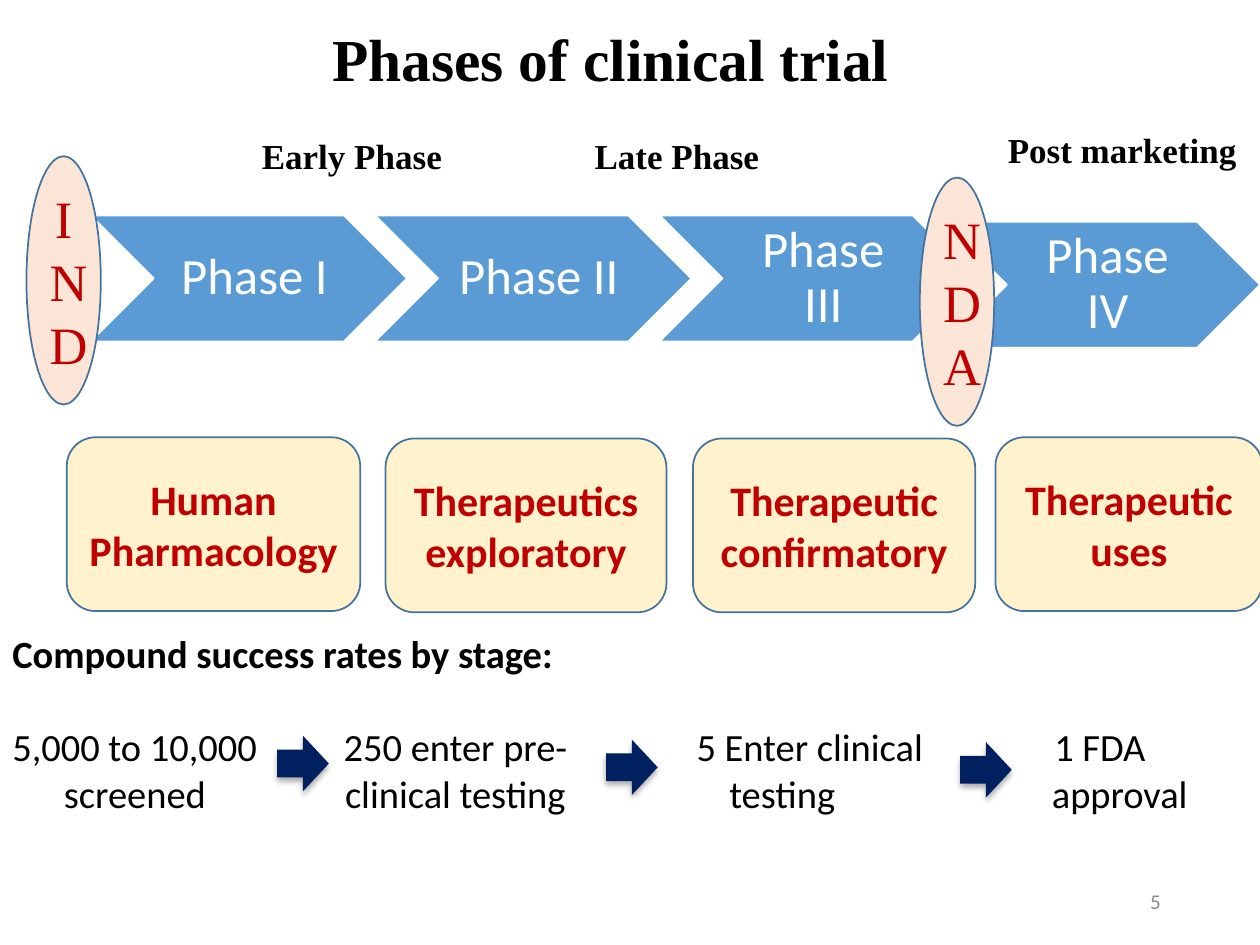
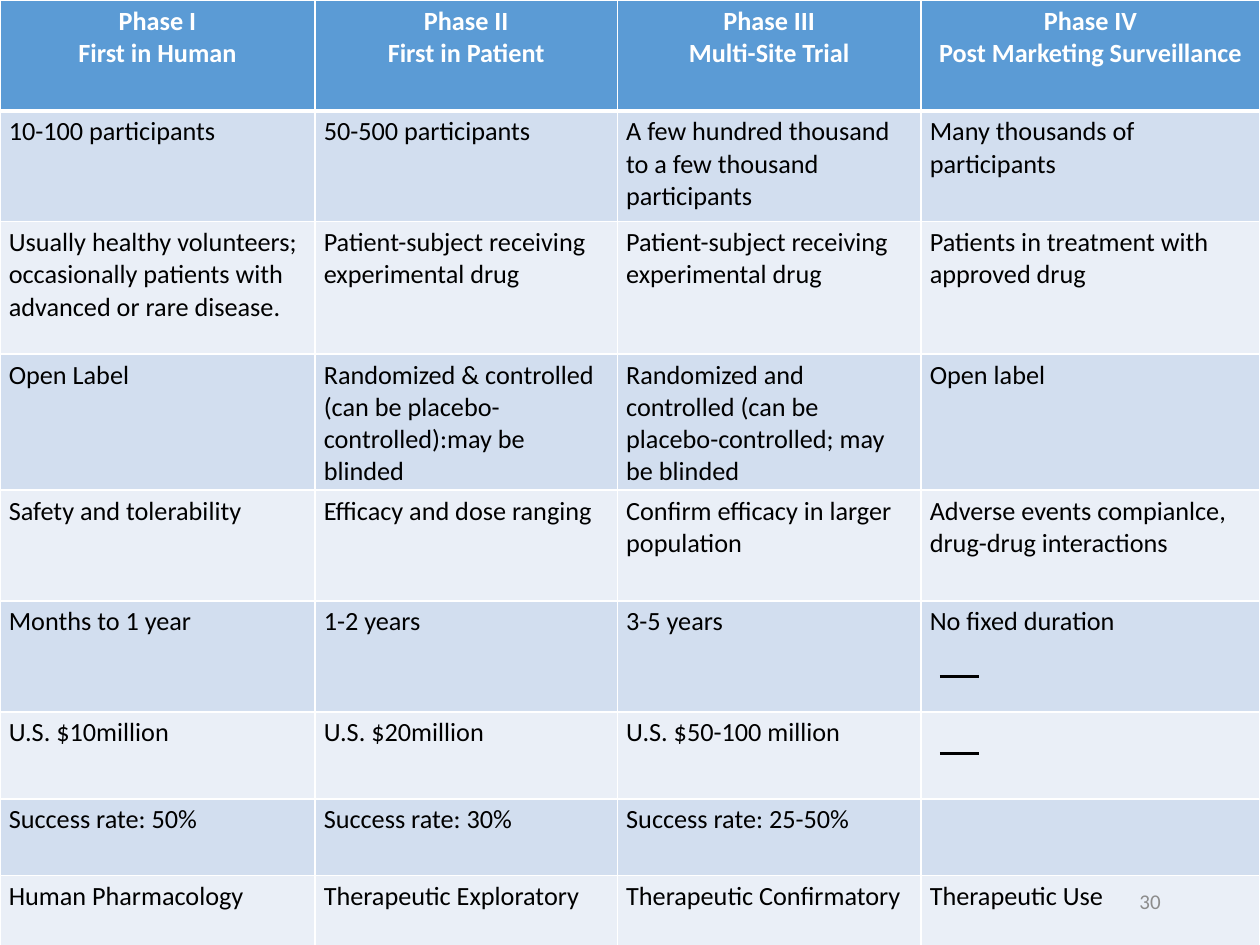
from dataclasses import dataclass

from lxml.etree import SubElement
from pptx import Presentation
from pptx.dml.color import RGBColor
from pptx.enum.shapes import MSO_CONNECTOR, MSO_SHAPE
from pptx.enum.text import MSO_ANCHOR, PP_ALIGN
from pptx.oxml.ns import qn
from pptx.util import Inches, Pt

SANS, SERIF = "Calibri", "Times New Roman"
BLACK, WHITE, GREY = "000000", "FFFFFF", "8C8C8C"
BLUE, OUTLINE, NAVY, RED = "5B9BD5", "43739E", "002060", "C00000"
PEACH, CREAM = "FBE5D6", "FFF2CC"
BANDS = ("EAEFF7", "D2DEEF")


@dataclass(frozen=True)
class Box:
    """A text with its place in inches."""
    text: str
    left: float
    top: float
    width: float
    height: float


@dataclass(frozen=True)
class Look:
    """The preset, colours and type of one family of shapes."""
    preset: MSO_SHAPE
    fill: str
    line: str | None = None
    size: float = 18
    color: str = WHITE
    font: str = SANS
    bold: bool = False
    spacing: float = 1
    insets: tuple = (0.1, 0.05, 0.1, 0.05)
    shadow: bool = False


CHEVRON = Look(MSO_SHAPE.CHEVRON, BLUE, WHITE, 29, spacing=0.9,
               insets=(0.13, 0.04, 0.04, 0.04))
FILING = Look(MSO_SHAPE.OVAL, PEACH, OUTLINE, 30, RED, SERIF)
PURPOSE = Look(MSO_SHAPE.ROUNDED_RECTANGLE, CREAM, OUTLINE, 24, RED, bold=True)
ARROW = Look(MSO_SHAPE.RIGHT_ARROW, NAVY, shadow=True)

TITLE = Box("Phases of clinical trial", 2.54, 0.13, 4.69, 0.67)
STAGES = (
    Box("Early Phase", 1.98, 1.02, 2.14, 0.44),
    Box("Late Phase", 4.62, 1.02, 1.52, 0.44),
    Box("Post marketing", 7.9, 0.97, 2.1, 0.44),
)
PHASES = (("Phase I", 1.71), ("Phase II", 1.71), ("Phase III", 1.71), ("Phase IV", 1.76))
FILINGS = (Box("IND", 0.21, 1.24, 0.59, 1.97), Box("NDA", 7.3, 1.41, 0.59, 1.97))
PURPOSES = (
    Box("Human Pharmacology", 0.53, 3.47, 2.33, 1.38),
    Box("Therapeutics exploratory", 3.06, 3.48, 2.23, 1.38),
    Box("Therapeutic confirmatory", 5.5, 3.48, 2.24, 1.38),
    Box("Therapeutic uses", 7.9, 3.47, 2.12, 1.38),
)
RATES = (
    ("5,000 to 10,000\t250 enter pre-\t5 Enter clinical\t1 FDA", (2.63, 5.43, 8.27)),
    ("\tscreened\tclinical testing\ttesting\tapproval", (0.41, 2.64, 5.69, 8.25)),
)
ARROWS = ((2.2, 5.84), (4.81, 5.87), (7.62, 5.89))

COLUMNS = (2.5, 2.4, 2.41, 2.69)
ROW_HEIGHTS = (0.88, 0.88, 1.05, 1.05, 0.88, 0.88, 0.69, 0.61, 0.61)
COMPARISON = (
    ("Phase I\nFirst in Human", "Phase II\nFirst in Patient",
     "Phase III\nMulti-Site Trial", "Phase IV\nPost Marketing Surveillance"),
    ("10-100 participants", "50-500 participants",
     "A few hundred thousand to a few thousand participants",
     "Many thousands of participants"),
    ("Usually healthy volunteers; occasionally patients with advanced or rare disease.",
     "Patient-subject receiving experimental drug",
     "Patient-subject receiving experimental drug",
     "Patients in treatment with approved drug"),
    ("Open Label",
     "Randomized & controlled\n(can be placebo-controlled):may be blinded",
     "Randomized and controlled (can be placebo-controlled; may be blinded",
     "Open label"),
    ("Safety and tolerability", "Efficacy and dose ranging",
     "Confirm efficacy in larger population",
     "Adverse events compianlce, drug-drug interactions"),
    ("Months to 1 year", "1-2 years", "3-5 years", "No fixed duration"),
    ("U.S. $10million", "U.S. $20million", "U.S. $50-100 million", ""),
    ("Success rate: 50%", "Success rate: 30%", "Success rate: 25-50%", ""),
    ("Human Pharmacology", "Therapeutic Exploratory",
     "Therapeutic Confirmatory", "Therapeutic Use"),
)
DASH_TOPS = (5.37, 5.98)


def rgb(color: str) -> RGBColor:
    """Turn a hex string into a colour."""
    return RGBColor.from_string(color)


def write(p, text: str, *, size: float, color: str = BLACK, font: str = SANS,
          bold: bool = False, align=PP_ALIGN.LEFT, spacing: float = 1,
          before: float = 0, tabs: tuple = ()) -> None:
    """Write one formatted run into a paragraph."""
    p.alignment, p.line_spacing = align, spacing
    if before:
        p.space_before = Pt(before)
    if tabs:
        stops = SubElement(p._p.get_or_add_pPr(), qn("a:tabLst"))
        for tab in tabs:
            SubElement(stops, qn("a:tab"), pos=str(Inches(tab)), algn="l")
    r = p.add_run()
    r.text = text
    r.font.size, r.font.name, r.font.bold = Pt(size), font, bold
    r.font.color.rgb = rgb(color)


def add_text(s, box: Box, *, wrap: bool = True, anchor=MSO_ANCHOR.TOP, **style):
    """Add a text box and return its text frame."""
    tf = s.shapes.add_textbox(Inches(box.left), Inches(box.top),
                              Inches(box.width), Inches(box.height)).text_frame
    tf.word_wrap, tf.vertical_anchor = wrap, anchor
    write(tf.paragraphs[0], box.text, **style)
    return tf


def add_box(s, box: Box, look: Look) -> None:
    """Add a preset shape with its centred text."""
    sp = s.shapes.add_shape(look.preset, Inches(box.left), Inches(box.top),
                            Inches(box.width), Inches(box.height))
    sp.shadow.inherit = False
    sp.fill.solid()
    sp.fill.fore_color.rgb = rgb(look.fill)
    if look.line:
        sp.line.color.rgb = rgb(look.line)
        sp.line.width = Pt(1)
    else:
        sp.line.fill.background()
    if look.shadow:
        effects = sp._element.spPr.find(qn("a:effectLst"))
        shade = SubElement(effects, qn("a:outerShdw"), blurRad=str(Pt(3.5)),
                           dist=str(Pt(2.2)), dir="5400000", rotWithShape="0")
        color = SubElement(shade, qn("a:srgbClr"), val=BLACK)
        SubElement(color, qn("a:alpha"), val="32000")
    if box.text:
        tf = sp.text_frame
        tf.word_wrap, tf.vertical_anchor = True, MSO_ANCHOR.MIDDLE
        tf.margin_left, tf.margin_top, tf.margin_right, tf.margin_bottom = map(
            Inches, look.insets)
        write(tf.paragraphs[0], box.text, size=look.size, color=look.color, font=look.font,
              bold=look.bold, align=PP_ALIGN.CENTER, spacing=look.spacing)


def add_number(s, number: int) -> None:
    """Add the slide number."""
    add_text(s, Box(str(number), 7.06, 6.95, 2.25, 0.4), anchor=MSO_ANCHOR.MIDDLE,
             size=12, color=GREY, align=PP_ALIGN.RIGHT)


def add_dash(s, top: float) -> None:
    """Add a short rule that marks an empty value."""
    line = s.shapes.add_connector(MSO_CONNECTOR.STRAIGHT, Inches(7.46), Inches(top),
                                  Inches(7.77), Inches(top))
    line.line.color.rgb = rgb(BLACK)
    line.line.width = Pt(1.5)
    SubElement(line._element.spPr, qn("a:effectLst"))


def fill_cell(cell, text: str, row: int) -> None:
    """Set the borders, fill and text of a table cell."""
    widths = {"L": 1, "R": 1, "T": 3 if row == 1 else 1, "B": 3 if row == 0 else 1}
    for side, width in widths.items():
        ln = SubElement(cell._tc.get_or_add_tcPr(), qn(f"a:ln{side}"), w=str(Pt(width)))
        SubElement(SubElement(ln, qn("a:solidFill")), qn("a:srgbClr"), val=WHITE)
    cell.fill.solid()
    cell.fill.fore_color.rgb = rgb(BANDS[row % 2] if row else BLUE)
    cell.margin_left = cell.margin_right = Inches(0.07)
    cell.margin_top = cell.margin_bottom = Inches(0.04)
    style = dict(size=15)
    if row == 0:
        style.update(color=WHITE, bold=True, align=PP_ALIGN.CENTER)
    tf = cell.text_frame
    for i, part in enumerate(text.split("\n") if text else ()):
        write(tf.add_paragraph() if i else tf.paragraphs[0], part, **style)


def build_phases(s) -> None:
    """Draw the phases, their purposes and the success rates."""
    add_text(s, TITLE, wrap=False, size=34, font=SERIF, bold=True)
    for i, (phase, top) in enumerate(PHASES):
        add_box(s, Box(phase, 0.72 + i * 2.257, top, 2.51, 1), CHEVRON)
    for filing in FILINGS:
        add_box(s, filing, FILING)
    for stage in STAGES:
        add_text(s, stage, wrap=False, size=20, font=SERIF, bold=True)
    for purpose in PURPOSES:
        add_box(s, purpose, PURPOSE)
    tf = add_text(s, Box("Compound success rates by stage:", 0, 4.95, 9.86, 1.58),
                  size=22, bold=True)
    for i, (text, tabs) in enumerate(RATES):
        write(tf.add_paragraph(), text, size=22, before=0 if i else 27, tabs=tabs)
    for left, top in ARROWS:
        add_box(s, Box("", left, top, 0.41, 0.44), ARROW)
    add_number(s, 5)


def build_comparison(s) -> None:
    """Draw the table that compares the phases."""
    table = s.shapes.add_table(len(ROW_HEIGHTS), len(COLUMNS), 0, 0,
                               Inches(10), Inches(7.53)).table
    for column, width in zip(table.columns, COLUMNS):
        column.width = Inches(width)
    for i, (height, texts) in enumerate(zip(ROW_HEIGHTS, COMPARISON)):
        table.rows[i].height = Inches(height)
        for j, text in enumerate(texts):
            fill_cell(table.cell(i, j), text, i)
    for top in DASH_TOPS:
        add_dash(s, top)
    add_number(s, 30)


def main() -> None:
    """Build and save the presentation."""
    prs = Presentation()
    prs.slide_width, prs.slide_height = Inches(10), Inches(7.5)
    for build in (build_phases, build_comparison):
        build(prs.slides.add_slide(prs.slide_layouts[6]))
    prs.save("out.pptx")


if __name__ == "__main__":
    main()
